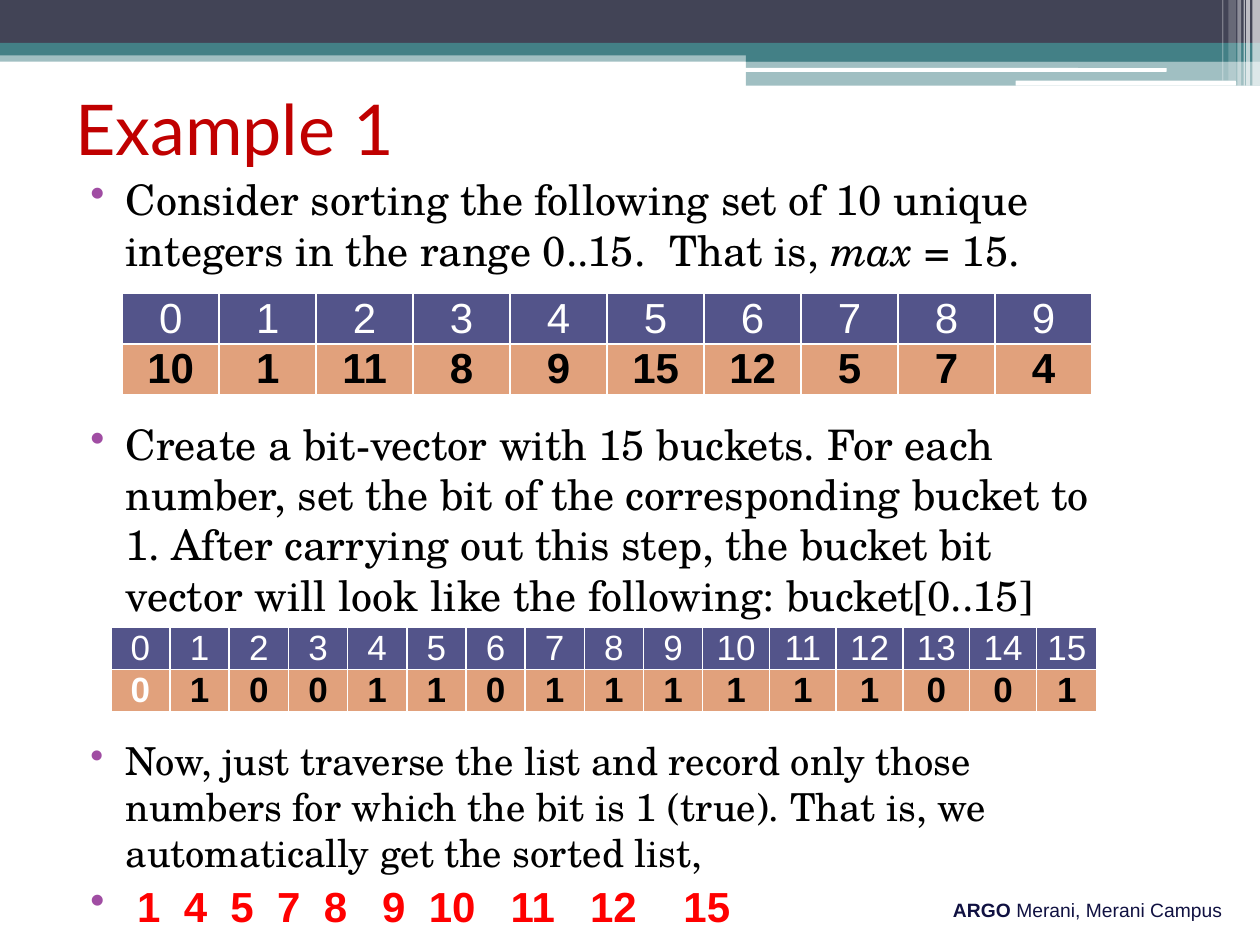
"""Build a slide that explains bucket sorting with a bit vector."""
from lxml.etree import SubElement
from pptx import Presentation
from pptx.dml.color import RGBColor
from pptx.enum.shapes import MSO_SHAPE
from pptx.enum.text import MSO_ANCHOR, MSO_AUTO_SIZE, PP_ALIGN
from pptx.oxml.ns import qn
from pptx.util import Inches, Pt

COLORS = {
    "dark": "424456", "teal": "438086", "white": "FFFFFF", "black": "000000",
    "title": "C00000", "bullet": "A04DA3", "red": "FF0000", "navy": "101141",
    "head": "53548A", "cell": "E1A17C",
}
RECT, ROUND = MSO_SHAPE.RECTANGLE, MSO_SHAPE.ROUNDED_RECTANGLE
BANDS = [
    (RECT, (0, 0.4, 10, 0.09), "teal", 50),
    (RECT, (0, 0, 10, 0.34), "dark", 100),
    (RECT, (0, 0.34, 10, 0.1), "teal", 100),
    (RECT, (5.92, 0.39, 4.08, 0.1), "teal", 100),
    (RECT, (5.92, 0.48, 4.08, 0.2), "teal", 50),
    (ROUND, (5.91, 0.54, 3.35, 0.03), "white", 100),
    (ROUND, (8.06, 0.64, 1.75, 0.04), "white", 100),
]
STRIPES = [
    (9.94, 0.06, 0.68, 65), (9.89, 0.03, 0.68, 65), (9.87, 0.01, 0.68, 60),
    (9.82, 0.03, 0.68, 40), (9.75, 0.06, 0.64, 20), (9.7, 0.01, 0.64, 30),
]
SERIF = {"name": "TeX Gyre Schola", "size": Pt(24), "color": "black"}
SMALL = {**SERIF, "size": Pt(22)}
SANS = {"name": "Arial", "size": Pt(24), "color": "red", "bold": True}
NOTE = {"name": "Arial", "size": Pt(11), "color": "navy"}
HEADING = {"name": "Lato", "size": Pt(40), "color": "title"}
FOOTER = [("ARGO ", {**NOTE, "bold": True}), ("Merani, Merani Campus", NOTE)]
POINTS = [
    (3, [("Consider sorting the following set of 10 unique integers in the "
          "range 0..15.  That is, ", SERIF),
         ("max", {**SERIF, "italic": True}), (" = 15.", SERIF)]),
    (82, [("Create a bit-vector with 15 buckets. For each number, set the bit "
           "of the corresponding bucket to 1. After carrying out this step, "
           "the bucket bit vector will look like the following: "
           "bucket[0..15]", SERIF)]),
    (67, [("Now, just traverse the list and record only those numbers for "
           "which the bit is 1 (true). That is, we automatically get the "
           "sorted list,", SMALL)]),
]
VALUES = [10, 1, 11, 8, 9, 15, 12, 5, 7, 4]
GAPS = [2, 2, 2, 2, 3, 2, 3, 3, 4]
SPACE = 6.67
BITS = [int(n in VALUES) for n in range(16)]
BITS[10:12] = [1, 1]
TABLES = [
    (0.97, 2.33, 0.37, 24, [0.77] * 10, VALUES, "black"),
    (0.88, 4.98, 0.31, 20, [0.47] * 10 + [0.53] * 5 + [0.48], BITS, "white"),
]


def rgb(key):
    return RGBColor.from_string(COLORS[key])


def add_band(slide, kind, box, color, alpha):
    band = slide.shapes.add_shape(kind, *map(Inches, box))
    band.shadow.inherit = False
    band.line.fill.background()
    band.fill.solid()
    band.fill.fore_color.rgb = rgb(color)
    if alpha < 100:
        tint = band.fill._xPr.find(".//" + qn("a:srgbClr"))
        SubElement(tint, qn("a:alpha"), val=str(alpha * 1000))


def add_run(para, text, style):
    run = para.add_run()
    run.text = text
    for key, value in style.items():
        if key == "color":
            run.font.color.rgb = rgb(value)
        else:
            setattr(run.font, key, value)
    return run


def add_box(slide, box):
    frame = slide.shapes.add_textbox(*map(Inches, box)).text_frame
    frame.word_wrap = True
    return frame


def add_bullet(para, before, left=0.4):
    para.space_before = Pt(before)
    props = para._p.get_or_add_pPr()
    props.set("marL", str(Inches(left)))
    props.set("indent", str(Inches(0.12 - left)))
    tint = SubElement(props, qn("a:buClr"))
    SubElement(tint, qn("a:srgbClr"), val=COLORS["bullet"])
    SubElement(props, qn("a:buChar"), char="•")


def add_body(slide):
    frame = add_box(slide, (0.5, 1.33, 8.33, 6.17))
    for num, (before, runs) in enumerate(POINTS):
        para = frame.add_paragraph() if num else frame.paragraphs[0]
        add_bullet(para, before)
        for text, style in runs:
            add_run(para, text, style)
    para = frame.add_paragraph()
    add_bullet(para, 3, 0.49)
    for value, gap in zip(sorted(VALUES), GAPS + [0]):
        add_run(para, str(value), SANS)
        if gap:
            run = add_run(para, " ", SANS)
            run.font._element.set("spc", str(round((gap - 1) * SPACE * 100)))


def fill_cell(cell, text, fill, style):
    props = cell._tc.get_or_add_tcPr()
    for side in ("lnL", "lnR", "lnT", "lnB"):
        line = SubElement(props, qn("a:" + side), w=str(Pt(1)))
        paint = SubElement(line, qn("a:solidFill"))
        SubElement(paint, qn("a:srgbClr"), val=COLORS["white"])
    cell.fill.solid()
    cell.fill.fore_color.rgb = rgb(fill)
    layout = {"margin_left": Inches(0.07), "margin_right": Inches(0.07),
              "margin_top": 0, "margin_bottom": 0,
              "vertical_anchor": MSO_ANCHOR.MIDDLE}
    for key, value in layout.items():
        setattr(cell, key, value)
    para = cell.text_frame.paragraphs[0]
    para.alignment = PP_ALIGN.CENTER
    add_run(para, text, style)


def add_grid(slide, left, top, height, size, widths, values, first):
    box = (left, top, sum(widths), 2 * height)
    grid = slide.shapes.add_table(2, len(values), *map(Inches, box)).table
    for row in grid.rows:
        row.height = Inches(height)
    base = {"name": "Arial", "size": Pt(size)}
    for col, (width, value) in enumerate(zip(widths, values)):
        grid.columns[col].width = Inches(width)
        head = {**base, "bold": False, "color": "white"}
        data = {**base, "bold": True, "color": "black" if col else first}
        fill_cell(grid.cell(0, col), str(col), "head", head)
        fill_cell(grid.cell(1, col), str(value), "cell", data)


def main():
    deck = Presentation()
    deck.slide_width, deck.slide_height = Inches(10), Inches(7.5)
    slide = deck.slides.add_slide(deck.slide_layouts[6])
    for band in BANDS:
        add_band(slide, *band)
    for left, width, height, alpha in STRIPES:
        add_band(slide, RECT, (left, 0, width, height), "white", alpha)
    footer = add_box(slide, (3.38, 7.08, 6.42, 0.29))
    footer.auto_size = MSO_AUTO_SIZE.SHAPE_TO_FIT_TEXT
    footer.paragraphs[0].alignment = PP_ALIGN.RIGHT
    for text, style in FOOTER:
        add_run(footer.paragraphs[0], text, style)
    title = add_box(slide, (0.5, 0.75, 9, 0.53))
    title.vertical_anchor = MSO_ANCHOR.MIDDLE
    add_run(title.paragraphs[0], "Example 1", HEADING)
    add_body(slide)
    for grid in TABLES:
        add_grid(slide, *grid)
    deck.save("out.pptx")


if __name__ == "__main__":
    main()
